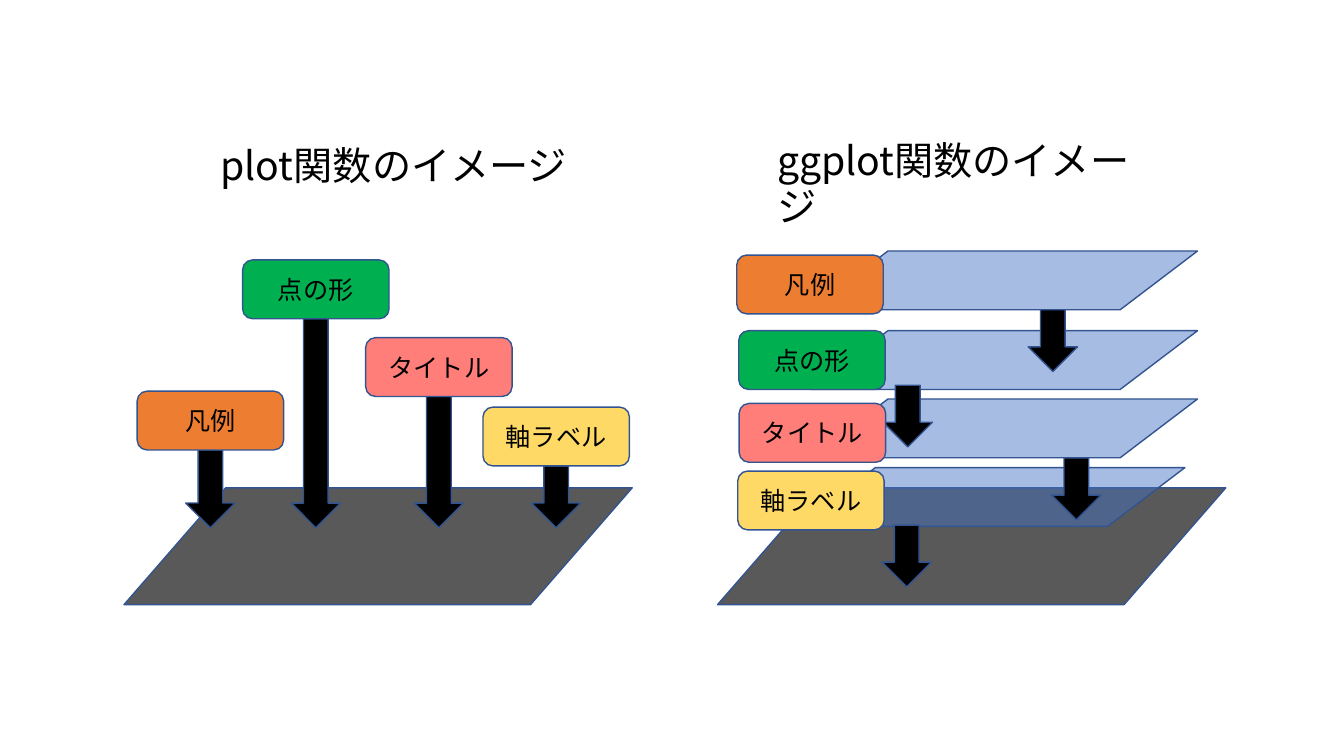
import pptx
import pptx.dml.color
import pptx.enum.shapes
import pptx.enum.text
import pptx.oxml.ns
import pptx.util
from lxml import etree

Pt = pptx.util.Pt
RGBColor = pptx.dml.color.RGBColor
MSO_SHAPE = pptx.enum.shapes.MSO_SHAPE
MSO_ANCHOR = pptx.enum.text.MSO_ANCHOR
PP_ALIGN = pptx.enum.text.PP_ALIGN
qn = pptx.oxml.ns.qn

FONT = "Noto Sans CJK JP"
COLORS = {
    "凡例": "ED7D31",
    "点の形": "00B050",
    "タイトル": "FF7E79",
    "軸ラベル": "FFD966",
    "ground": "595959",
    "layer": "4472C4",
    "arrow": "000000",
    "outline": "325491",
    "text": "000000",
}
LABEL_WIDTH, LABEL_HEIGHT = 104.6, 42
ARROW_WIDTH, ARROW_HEIGHT = 35.3, 44.1
ARROW_TIP = 377

presentation = pptx.Presentation()
presentation.slide_width = Pt(960)
presentation.slide_height = Pt(540)
slide = presentation.slides.add_slide(presentation.slide_layouts[6])


def add_block(kind, left, top, width, height, color, alpha=None):
    shape = slide.shapes.add_shape(kind, Pt(left), Pt(top), Pt(width), Pt(height))
    shape.shadow.inherit = False
    shape.fill.solid()
    shape.fill.fore_color.rgb = RGBColor.from_string(COLORS[color])
    shape.line.color.rgb = RGBColor.from_string(COLORS["outline"])
    shape.line.width = Pt(1)
    if alpha is not None:
        fill_color = shape.fill._xPr.find(qn("a:solidFill"))[0]
        etree.SubElement(fill_color, qn("a:alpha"), val=str(alpha * 1000))
    return shape


def write_text(shape, text, size=18, align=PP_ALIGN.CENTER, anchor=MSO_ANCHOR.MIDDLE, spacing=None):
    frame = shape.text_frame
    frame.word_wrap = True
    frame.vertical_anchor = anchor
    paragraph = frame.paragraphs[0]
    paragraph.alignment = align
    paragraph.line_spacing = spacing
    run = paragraph.add_run()
    run.text = text
    run.font.size = Pt(size)
    run.font.name = FONT
    run.font.color.rgb = RGBColor.from_string(COLORS["text"])
    etree.SubElement(run.font._element, qn("a:ea"), typeface=FONT)


for left in (88.6, 512.6):
    add_block(MSO_SHAPE.FLOWCHART_DATA, left, 348.5, 363, 83.4, "ground")

for left, top in ((579, 179.3), (579, 236.2), (579, 285), (570, 334)):
    add_block(MSO_SHAPE.FLOWCHART_DATA, left, top, 276.4, LABEL_HEIGHT, "layer", alpha=47)

plot_labels = [
    ("凡例", 98, 279.4),
    ("点の形", 173.3, 185.7),
    ("タイトル", 261.2, 241.2),
    ("軸ラベル", 345, 290.8),
]
ggplot_labels = [
    ("凡例", 526.3, 182.2),
    ("点の形", 527.7, 236.2),
    ("タイトル", 528, 288.2),
    ("軸ラベル", 527, 336.5),
]
ggplot_arrows = [(734.4, 221.3), (630.8, 275.2), (751.2, 327.2), (630, 375.1)]

for name, left, top in plot_labels:
    arrow_left = left + (LABEL_WIDTH - ARROW_WIDTH) / 2
    arrow_top = top + LABEL_HEIGHT
    add_block(MSO_SHAPE.DOWN_ARROW, arrow_left, arrow_top, ARROW_WIDTH, ARROW_TIP - arrow_top, "arrow")

for left, top in ggplot_arrows:
    add_block(MSO_SHAPE.DOWN_ARROW, left, top, ARROW_WIDTH, ARROW_HEIGHT, "arrow")

for name, left, top in plot_labels + ggplot_labels:
    label = add_block(MSO_SHAPE.FLOWCHART_ALTERNATE_PROCESS, left, top, LABEL_WIDTH, LABEL_HEIGHT, name)
    write_text(label, name)

titles = [
    ("plot関数のイメージ", 150.5, 98, 262),
    ("ggplot関数のイメージ", 548, 94.3, 293),
]
for text, left, top, width in titles:
    title = slide.shapes.add_textbox(Pt(left), Pt(top), Pt(width), Pt(41))
    write_text(title, text, size=28, align=PP_ALIGN.LEFT, anchor=MSO_ANCHOR.TOP, spacing=Pt(33))

presentation.save("out.pptx")
